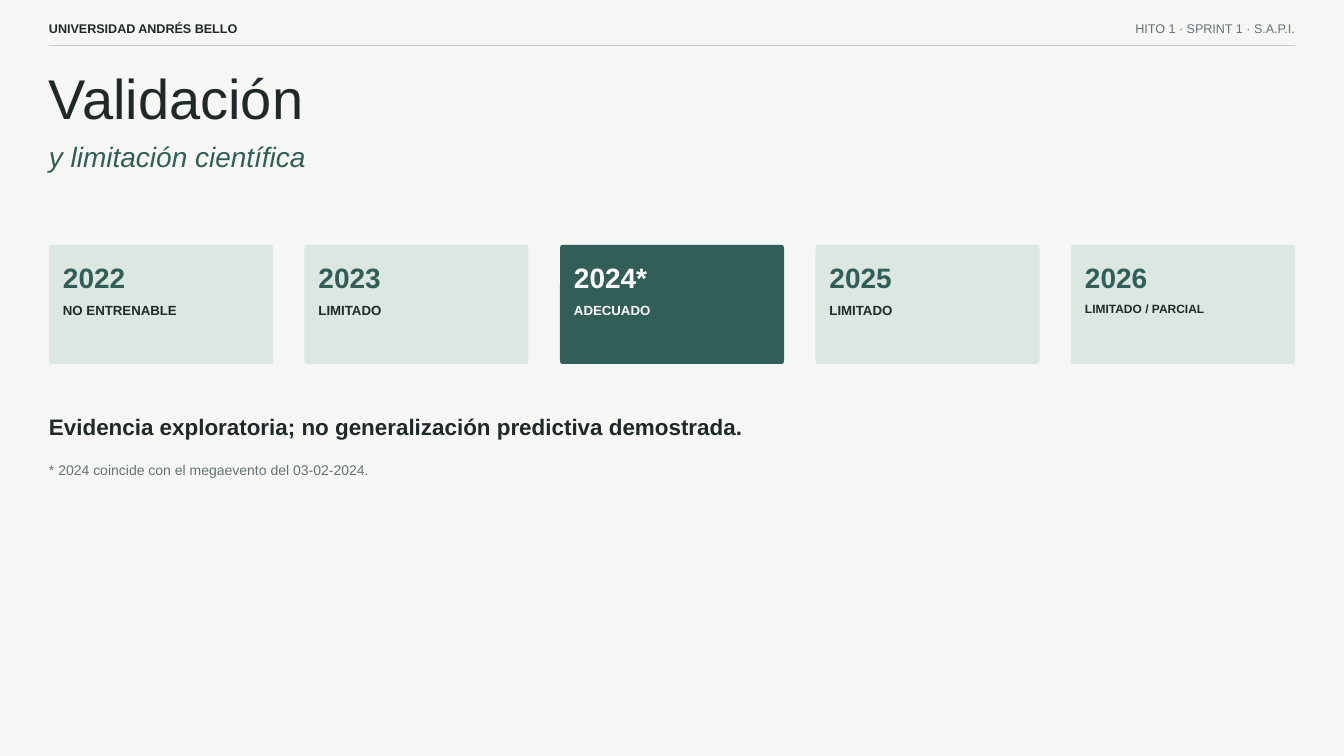
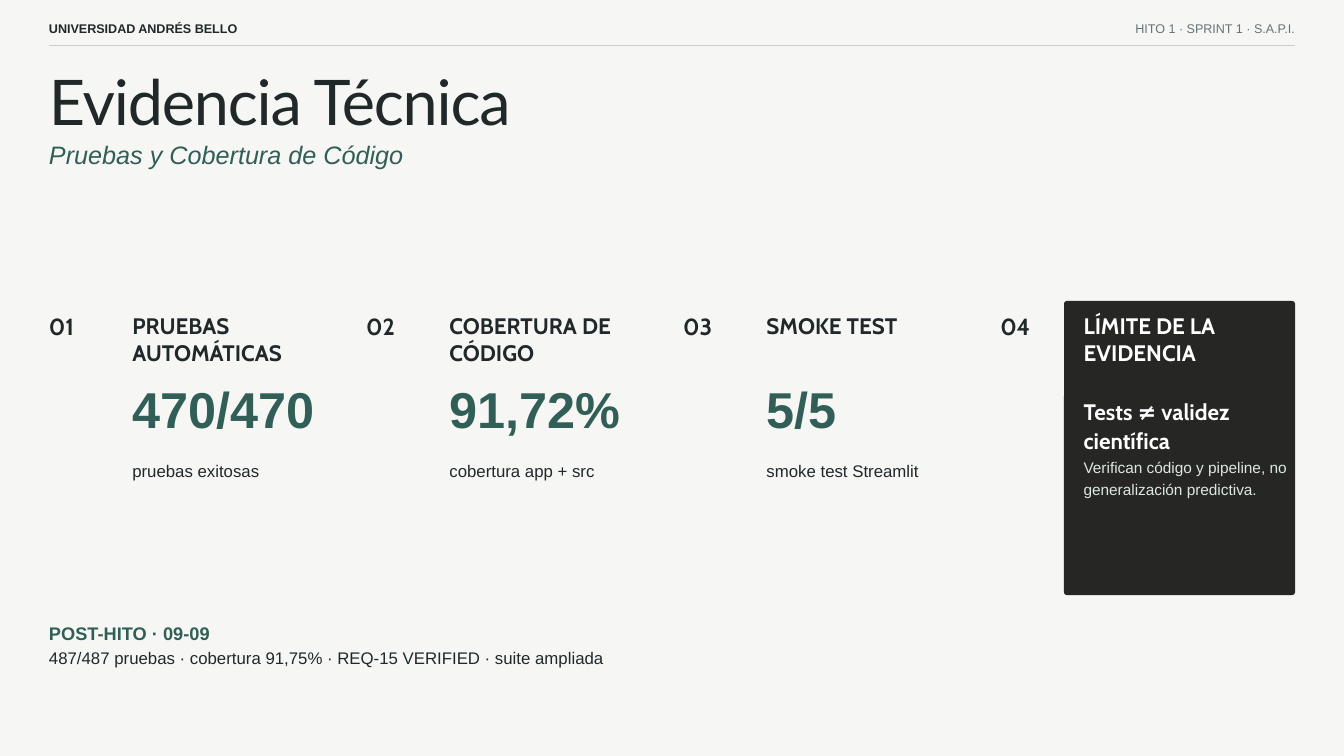
"""Build the two slides on scientific validation and technical evidence."""
from dataclasses import dataclass

from lxml.etree import SubElement
from pptx import Presentation
from pptx.dml.color import RGBColor as RGB
from pptx.enum.shapes import MSO_CONNECTOR as CONN, MSO_SHAPE as SHAPE
from pptx.enum.text import MSO_ANCHOR as ANCHOR, MSO_AUTO_SIZE as FIT, PP_ALIGN as ALIGN
from pptx.oxml.ns import qn
from pptx.util import Pt

PX = 9525
SLIDE_W, SLIDE_H = 1920, 1080
MARGIN = 70
CONTENT_W = SLIDE_W - 2 * MARGIN


@dataclass(frozen=True)
class Theme:
    paper: str = "F6F7F4"
    ink: str = "20282A"
    green: str = "315E56"
    mint: str = "DCE7E2"
    grey: str = "667276"
    rule: str = "C7CFCB"
    dark: str = "262624"
    white: str = "FFFFFF"
    body: str = "Arial"
    label: str = "Cabin"
    display: str = "Lato"
    header: float = 13.5
    title: float = 60
    display_title: float = 67.4
    subtitle: float = 30
    small_subtitle: float = 27
    year: float = 30
    status: float = 14.2
    small_status: float = 12.8
    lead: float = 24
    footnote: float = 15
    number: float = 25
    heading: float = 24
    value: float = 54
    caption: float = 18
    note: float = 16.5
    post: float = 19.5


T = Theme()

HEADER = ("UNIVERSIDAD ANDRÉS BELLO", "HITO 1 · SPRINT 1 · S.A.P.I.")

VALIDATION = {
    "title": "Validación",
    "subtitle": "y limitación científica",
    "years": [
        ("2022", "NO ENTRENABLE"),
        ("2023", "LIMITADO"),
        ("2024*", "ADECUADO"),
        ("2025", "LIMITADO"),
        ("2026", "LIMITADO / PARCIAL"),
    ],
    "adequate": "2024*",
    "lead": "Evidencia exploratoria; no generalización predictiva demostrada.",
    "footnote": "* 2024 coincide con el megaevento del 03-02-2024.",
}

EVIDENCE = {
    "title": "Evidencia Técnica",
    "subtitle": "Pruebas y Cobertura de Código",
    "metrics": [
        ("PRUEBAS AUTOMÁTICAS", "470/470", "pruebas exitosas"),
        ("COBERTURA DE CÓDIGO", "91,72%", "cobertura app + src"),
        ("SMOKE TEST", "5/5", "smoke test Streamlit"),
    ],
    "limit": ("LÍMITE DE LA EVIDENCIA", "Tests ≠ validez científica",
              "Verifican código y pipeline, no generalización predictiva."),
    "post": "POST-HITO · 09-09",
    "post_detail": "487/487 pruebas · cobertura 91,75% · REQ-15 VERIFIED · suite ampliada",
}


def emu(*lengths):
    return [round(n * PX) for n in lengths]


def write(s, text, x, y, w, h, *, size, font=T.body, color=T.ink, bold=False,
          italic=False, align=ALIGN.LEFT, leading=1.4, spacing=None, sp=None):
    sp = sp or s.shapes.add_textbox(*emu(x, y, w, h))
    sp.left, sp.top, sp.width, sp.height = emu(x, y, w, h)
    tf = sp.text_frame
    tf.word_wrap, tf.auto_size, tf.vertical_anchor = True, FIT.NONE, ANCHOR.TOP
    tf.margin_left = tf.margin_top = tf.margin_right = tf.margin_bottom = 0
    p = tf.paragraphs[0]
    p.alignment, p.line_spacing = align, Pt(round(size * leading, 1))
    r = p.add_run()
    r.text = text
    f = r.font
    f.name, f.size, f.bold, f.italic = font, Pt(size), bold, italic
    f.color.rgb = RGB.from_string(color)
    if spacing:
        r._r.get_or_add_rPr().set("spc", str(round(spacing * 100)))


def add_card(s, x, y, w, h, color, radius=4):
    sp = s.shapes.add_shape(SHAPE.ROUNDED_RECTANGLE, *emu(x, y, w, h))
    sp.adjustments[0] = radius / min(w, h)
    sp.shadow.inherit = False
    sp.fill.solid()
    sp.fill.fore_color.rgb = RGB.from_string(color)
    sp.line.fill.background()


def add_header(s):
    w, h, rule_y = 500, 25, 65
    left, right = HEADER
    write(s, left, MARGIN, 26, w, h, size=T.header, bold=True)
    write(s, right, SLIDE_W - MARGIN - w, 26, w, h, size=T.header,
          color=T.grey, align=ALIGN.RIGHT)
    line = s.shapes.add_connector(
        CONN.STRAIGHT, *emu(MARGIN, rule_y, SLIDE_W - MARGIN, rule_y))
    line.line.color.rgb = RGB.from_string(T.rule)
    line.line.width = Pt(1.5)
    SubElement(line._element.spPr, qn("a:effectLst"))


def add_slide(prs, content, title_y, title_h, subtitle_size, **title_format):
    s = prs.slides.add_slide(prs.slide_layouts[5])
    write(s, content["title"], MARGIN, title_y, CONTENT_W, title_h,
          sp=s.shapes.title, **title_format)
    write(s, content["subtitle"], MARGIN, 192, CONTENT_W, 56,
          size=subtitle_size, color=T.green, italic=True)
    add_header(s)
    return s


def build_validation(prs):
    c = VALIDATION
    s = add_slide(prs, c, 75, 111, T.subtitle, size=T.title)
    card_w, card_h, top, pad = 320, 170, 350, 20
    pitch = (CONTENT_W - card_w) / (len(c["years"]) - 1)
    for i, (year, status) in enumerate(c["years"]):
        x, w = MARGIN + i * pitch, card_w - 2 * pad
        adequate = year == c["adequate"]
        add_card(s, x, top, card_w, card_h, T.green if adequate else T.mint)
        write(s, year, x + pad, top + 14, w, 56, size=T.year, bold=True,
              color=T.white if adequate else T.green)
        write(s, status, x + pad, top + 78, w, 26, bold=True,
              size=T.small_status if "/" in status else T.status,
              color=T.white if adequate else T.ink)
    write(s, c["lead"], MARGIN, 584, CONTENT_W, 43, size=T.lead, bold=True)
    write(s, c["footnote"], MARGIN, 655, CONTENT_W, 29, size=T.footnote, color=T.grey)


def build_evidence(prs):
    c = EVIDENCE
    s = add_slide(prs, c, 89, 107, T.small_subtitle, size=T.display_title,
                  font=T.display, leading=1.2, spacing=-1.3)
    pitch, indent, text_w, top = 453, 119, 302, 446
    columns = [MARGIN + i * pitch for i in range(len(c["metrics"]) + 1)]
    heading = dict(size=T.heading, font=T.label, bold=True, leading=1.2)
    for i, x in enumerate(columns, 1):
        write(s, f"{i:02}", x, top, 65, 39, size=T.number, font=T.label,
              bold=True, leading=1.2)
    for x, (name, value, caption) in zip(columns, c["metrics"]):
        x += indent
        write(s, name, x, top, text_w, 76, **heading)
        write(s, value, x, 526, text_w, 100, size=T.value, color=T.green, bold=True)
        write(s, caption, x, 654, text_w, 35, size=T.caption)

    name, claim, note = c["limit"]
    x = columns[-1] + indent
    add_card(s, 1520, 430, 330, 420, T.dark)
    write(s, name, x, top, text_w, 76, color=T.white, **heading)
    write(s, claim, x, 565, text_w, 81, color=T.white, **{**heading, "leading": 1.3})
    write(s, note, x, 650, text_w, 62, size=T.note, color=T.mint)
    write(s, c["post"], MARGIN, 884, CONTENT_W, 36, size=T.post,
          color=T.green, bold=True)
    write(s, c["post_detail"], MARGIN, 923, CONTENT_W, 42, size=T.caption, leading=1.28)


def main():
    prs = Presentation()
    prs.slide_width, prs.slide_height = emu(SLIDE_W, SLIDE_H)
    fill = prs.slide_master.background.fill
    fill.solid()
    fill.fore_color.rgb = RGB.from_string(T.paper)
    build_validation(prs)
    build_evidence(prs)
    prs.save("out.pptx")


if __name__ == "__main__":
    main()
